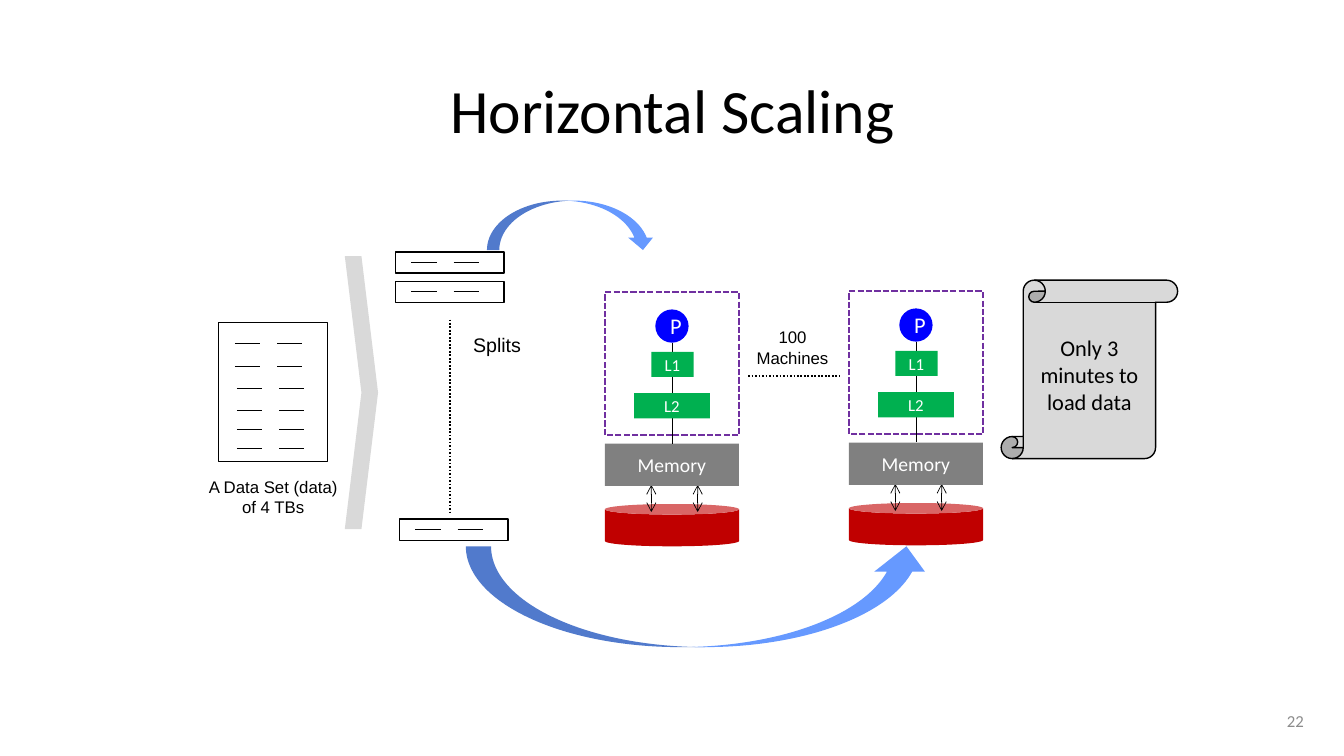
"""Build the Horizontal Scaling slide: a data set split across 100 machines."""
from dataclasses import dataclass, field
from typing import Any, Optional

from lxml.etree import SubElement
from pptx import Presentation
from pptx.dml.color import RGBColor as Rgb
from pptx.enum.dml import MSO_LINE_DASH_STYLE as Dash
from pptx.enum.shapes import MSO_CONNECTOR as Link, MSO_SHAPE as Kind
from pptx.enum.text import MSO_ANCHOR as Anchor, PP_ALIGN as Align
from pptx.oxml.ns import qn
from pptx.util import Emu, Pt

PX = 9144
SLIDE = (1333, 750)


@dataclass(frozen=True)
class Theme:
    """Colours, fonts and type sizes of the slide."""
    black: str = "000000"
    white: str = "FFFFFF"
    light: str = "D9D9D9"
    grey: str = "808080"
    number: str = "8C8C8C"
    purple: str = "7030A0"
    processor: str = "0000FF"
    cache: str = "00B050"
    disk: str = "C00000"
    arrow: str = "6699FF"
    body: str = "Calibri"
    label: str = "Arial"
    title_size: int = 44
    large: int = 16
    medium: int = 14
    small: int = 12


THEME = Theme()


@dataclass(frozen=True)
class Words:
    """Lines of text with their look; padding is left and right."""
    lines: tuple[str, ...]
    size: int
    color: str = THEME.white
    font: str = THEME.body
    align: Align = Align.CENTER
    wrap: bool = True
    padding: tuple[int, int] = (0, 0)
    spacing: float = 1.0


@dataclass(frozen=True)
class Stroke:
    """An outline or line style."""
    weight: float = 0.5
    color: str = THEME.black
    dash: Optional[Dash] = None
    arrows: bool = False


@dataclass(frozen=True)
class Item:
    """A box on the slide; without a kind it is a text box."""
    at: tuple[int, int, int, int]
    kind: Optional[Kind] = None
    fill: Optional[str] = None
    stroke: Optional[Stroke] = None
    words: Optional[Words] = None


@dataclass(frozen=True)
class Rule:
    """A straight line between two points."""
    start: tuple[int, int]
    end: tuple[int, int]
    stroke: Stroke = field(default_factory=Stroke)


def px(*lengths: int) -> list[Emu]:
    """Turn px into EMU."""
    return [Emu(length * PX) for length in lengths]


def apply(target: Any, values: dict[str, Any]) -> None:
    """Set each named attribute on the target."""
    for name, value in values.items():
        setattr(target, name, value)


def write(frame: Any, words: Words) -> None:
    """Fill a text frame with formatted lines."""
    left, right = px(*words.padding)
    apply(frame, dict(margin_left=left, margin_right=right, margin_top=0, margin_bottom=0,
                      vertical_anchor=Anchor.MIDDLE, word_wrap=words.wrap))
    for index, line in enumerate(words.lines):
        para = frame.add_paragraph() if index else frame.paragraphs[0]
        apply(para, dict(alignment=words.align, line_spacing=words.spacing))
        span = para.add_run()
        span.text = line
        apply(span.font, dict(name=words.font, size=Pt(words.size)))
        span.font.color.rgb = Rgb.from_string(words.color)


def style_line(line: Any, stroke: Stroke) -> None:
    """Colour and dash a line."""
    line.color.rgb = Rgb.from_string(stroke.color)
    apply(line, dict(width=Pt(stroke.weight), dash_style=stroke.dash))


def draw_item(page: Any, item: Item) -> None:
    """Draw a preset shape or a text box."""
    if item.kind is None:
        box = page.shapes.add_textbox(*px(*item.at))
    else:
        box = page.shapes.add_shape(item.kind, *px(*item.at))
        box.shadow.inherit = False
        if item.fill:
            box.fill.solid()
            box.fill.fore_color.rgb = Rgb.from_string(item.fill)
        else:
            box.fill.background()
        if item.stroke:
            style_line(box.line, item.stroke)
        else:
            box.line.fill.background()
    if item.words:
        write(box.text_frame, item.words)


def draw_rule(page: Any, rule: Rule) -> None:
    """Draw a line, with arrowheads when asked."""
    line = page.shapes.add_connector(Link.STRAIGHT, *px(*rule.start, *rule.end))
    style_line(line.line, rule.stroke)
    properties = line.element.spPr
    if rule.stroke.arrows:
        for end in ("a:headEnd", "a:tailEnd"):
            SubElement(properties.find(qn("a:ln")), qn(end)).set("type", "arrow")
    SubElement(properties, qn("a:effectLst"))


def record(left: int, top: int) -> list[Rule]:
    """Return the two dashes of one data record."""
    return [Rule((x, top), (x + 25, top)) for x in (left, left + 42)]


def data_set() -> list[Item | Rule]:
    """Return the data set and its splits."""
    outline = Stroke(1)
    parts: list[Item | Rule] = [Item((217, 320, 108, 138), Kind.RECTANGLE, stroke=outline)]
    for left, top in ((233, 341), (233, 363), (235, 385), (235, 407), (235, 426), (235, 445)):
        parts += record(left, top)
    for left, top in ((392, 250), (392, 279), (396, 515)):
        parts.append(Item((left, top, 108, 21), Kind.RECTANGLE, stroke=outline))
        parts += record(left + 16, top + 10)
    return parts


def machine(left: int, top: int) -> list[Item | Rule]:
    """Return one machine: processor, caches, memory and disk."""
    middle = left + 67
    links = [Rule((middle, top + a), (middle, top + b)) for a, b in ((50, 59), (84, 100), (125, 150))]
    both = Stroke(arrows=True)
    buses = [Rule((left + x, top + 191), (left + x, top + 218), both) for x in (46, 92)]
    return [
        Item((left, top + 210, 133, 42), Kind.CAN, THEME.disk),
        *buses,
        Item((left, top + 150, 133, 42), Kind.RECTANGLE, THEME.grey,
             words=Words(("Memory",), THEME.medium)),
        Item((left, top, 133, 142), Kind.RECTANGLE,
             stroke=Stroke(1.5, THEME.purple, Dash.SQUARE_DOT)),
        Item((left + 50, top + 17, 33, 33), Kind.OVAL, THEME.processor,
             words=Words(("P",), THEME.large, padding=(8, 0))),
        *links,
        Item((left + 46, top + 59, 42, 25), Kind.RECTANGLE, THEME.cache,
             words=Words(("L1",), THEME.small)),
        Item((left + 29, top + 100, 75, 25), Kind.RECTANGLE, THEME.cache,
             words=Words(("L2",), THEME.small)),
    ]


def label(at: tuple[int, int, int, int], size: int, *lines: str) -> Item:
    """Return a black caption."""
    return Item(at, words=Words(lines, size, THEME.black, THEME.label, wrap=False))


def main() -> None:
    """Build and save the deck."""
    deck = Presentation()
    width, height = px(*SLIDE)
    apply(deck, dict(slide_width=width, slide_height=height))
    page = deck.slides.add_slide(deck.slide_layouts[5])
    title = page.shapes.title
    apply(title, dict(zip(("left", "top", "width", "height"), px(92, 40, 1150, 145))))
    write(title.text_frame, Words(("Horizontal Scaling",), THEME.title_size, THEME.black, spacing=0.9))

    dotted = Stroke(1.25, dash=Dash.ROUND_DOT)
    parts = [
        *data_set(),
        Item((993, 278, 175, 177), Kind.VERTICAL_SCROLL, THEME.light, Stroke(1),
             Words(("Only 3 minutes to load data",), THEME.large, THEME.black, padding=(10, 10))),
        Item((342, 254, 33, 271), Kind.CHEVRON, THEME.light),
        Rule((446, 317), (446, 508), dotted),
        Rule((742, 373), (833, 373), dotted),
        Item((483, 199, 167, 49), Kind.CURVED_DOWN_ARROW, THEME.arrow),
        Item((462, 542, 462, 100), Kind.CURVED_UP_ARROW, THEME.arrow),
        label((194, 467, 154, 51), THEME.small, "A Data Set (data)", "of 4 TBs"),
        label((459, 325, 68, 34), THEME.medium, "Splits"),
        *machine(600, 290),
        *machine(842, 289),
        label((740, 319, 92, 51), THEME.small, "100", "Machines"),
        Item((1003, 695, 300, 40), words=Words(("22",), THEME.small, THEME.number,
                                               align=Align.RIGHT, padding=(10, 10))),
    ]
    for part in parts:
        if isinstance(part, Item):
            draw_item(page, part)
        else:
            draw_rule(page, part)
    deck.save("out.pptx")


if __name__ == "__main__":
    main()
